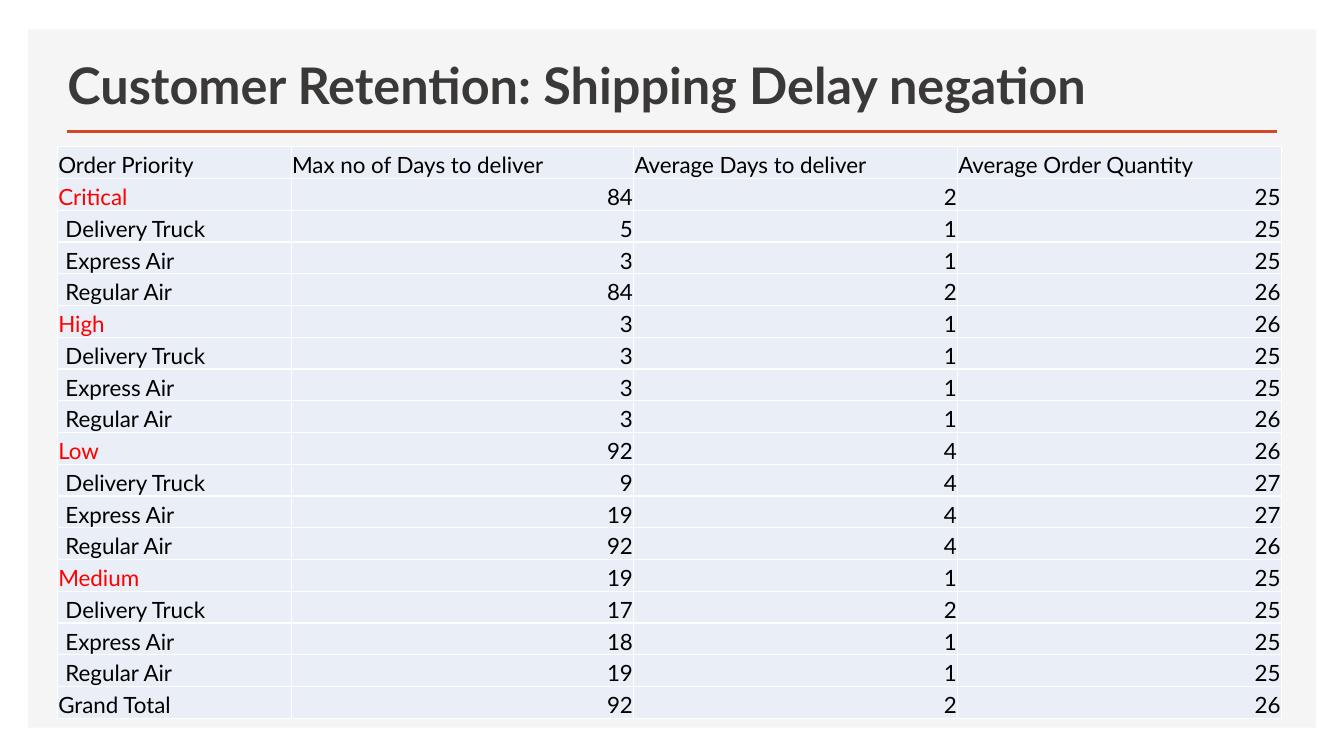
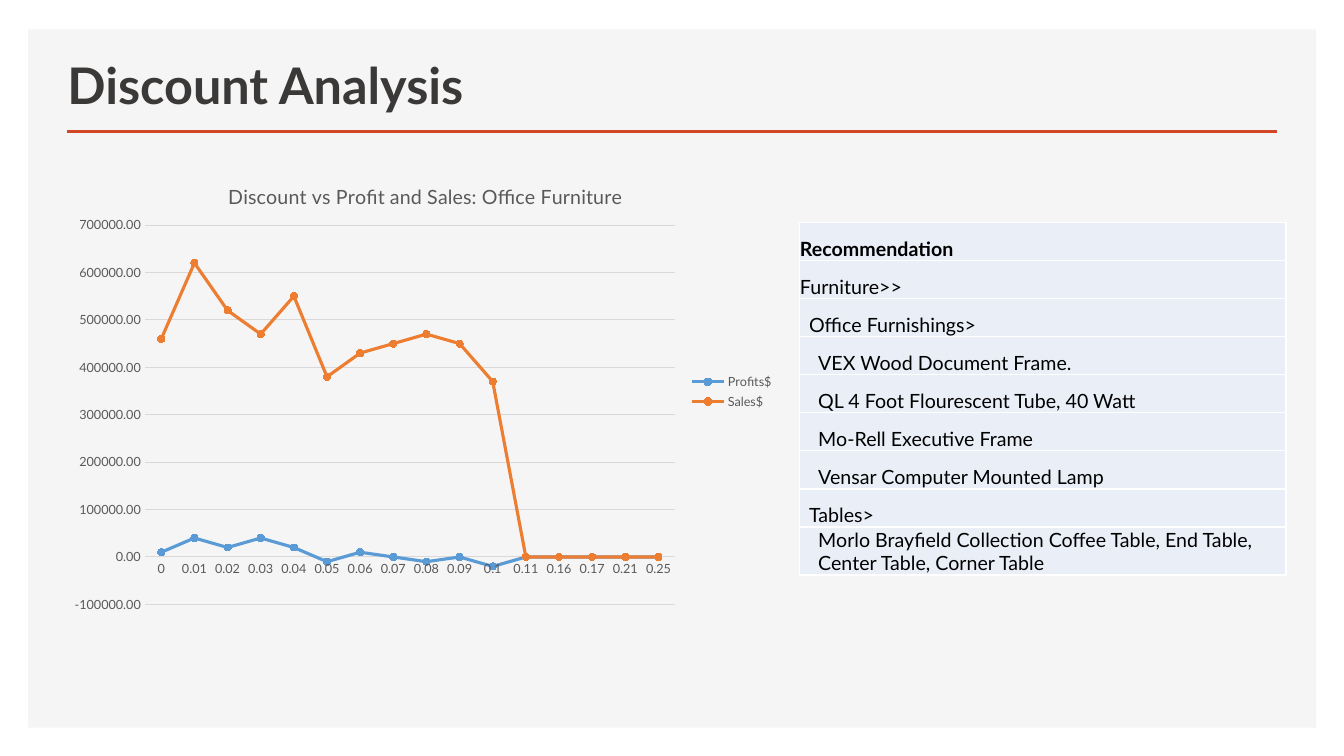
from pptx import Presentation
from pptx.chart.data import CategoryChartData
from pptx.dml.color import RGBColor
from pptx.enum.chart import (XL_CHART_TYPE, XL_LEGEND_POSITION,
                             XL_MARKER_STYLE, XL_TICK_MARK)
from pptx.enum.shapes import MSO_CONNECTOR, MSO_SHAPE
from pptx.enum.text import MSO_ANCHOR, PP_ALIGN
from pptx.oxml import parse_xml
from pptx.oxml.ns import nsdecls, qn
from pptx.util import Cm, Pt

LINE_MARKERS = XL_CHART_TYPE.LINE_MARKERS
LEGEND_RIGHT = XL_LEGEND_POSITION.RIGHT
CIRCLE = XL_MARKER_STYLE.CIRCLE
NO_TICK = XL_TICK_MARK.NONE
STRAIGHT = MSO_CONNECTOR.STRAIGHT
RECTANGLE = MSO_SHAPE.RECTANGLE
BOTTOM = MSO_ANCHOR.BOTTOM
LEFT, RIGHT = PP_ALIGN.LEFT, PP_ALIGN.RIGHT

FONT = "Lato"
COLORS = {
    "panel": "F5F5F5", "rule": "D24726", "title": "3B3838",
    "cell": "EAEFF7", "border": "FFFFFF", "text": "000000",
    "priority": "FF0000", "chart_text": "595959", "grid": "D9D9D9",
    "profit": "5B9BD5", "sales": "ED7D31",
}

# Content: shipping delays
SHIPPING_TITLE = "Customer Retention: Shipping Delay negation"
SHIPPING_HEADER = ("Order Priority", "Max no of Days to deliver",
                   "Average Days to deliver", "Average Order Quantity")
SHIP_MODES = ("Delivery Truck", "Express Air", "Regular Air")
# Priority: its own figures, then those of each ship mode
PRIORITIES = {
    "Critical": [(84, 2, 25), (5, 1, 25), (3, 1, 25), (84, 2, 26)],
    "High": [(3, 1, 26), (3, 1, 25), (3, 1, 25), (3, 1, 26)],
    "Low": [(92, 4, 26), (9, 4, 27), (19, 4, 27), (92, 4, 26)],
    "Medium": [(19, 1, 25), (17, 2, 25), (18, 1, 25), (19, 1, 25)],
}
GRAND_TOTAL = ("Grand Total", 92, 2, 26)

# Content: discounts
DISCOUNT_TITLE = "Discount Analysis"
CHART_TITLE = "Discount vs Profit and Sales: Office Furniture"
DISCOUNTS = ("0", "0.01", "0.02", "0.03", "0.04", "0.05", "0.06", "0.07",
             "0.08", "0.09", "0.1", "0.11", "0.16", "0.17", "0.21", "0.25")
SERIES = [
    ("Profits$", "profit", (10000, 40000, 20000, 40000, 20000, -10000, 10000,
                            0, -10000, 0, -20000, 0, 0, 0, 0, 0)),
    ("Sales$", "sales", (460000, 620000, 520000, 470000, 550000, 380000,
                         430000, 450000, 470000, 450000, 370000,
                         0, 0, 0, 0, 0)),
]
# Text and indent level
RECOMMENDATIONS = [
    ("Recommendation", 0),
    ("Furniture>>", 0),
    ("Office Furnishings>", 1),
    ("VEX Wood Document Frame.", 2),
    ("QL 4 Foot Flourescent Tube, 40 Watt", 2),
    ("Mo-Rell Executive Frame", 2),
    ("Vensar Computer Mounted Lamp", 2),
    ("Tables>", 1),
    ("Morlo Brayfield Collection Coffee Table, End Table, "
     "Center Table, Corner Table", 2),
]


def rgb(name):
    return RGBColor.from_string(COLORS[name])


def style_font(font, size, color, bold=False):
    font.name, font.size, font.bold = FONT, Pt(size), bold
    font.color.rgb = rgb(color)


def add_run(p, text, size, color, bold=False):
    r = p.add_run()
    r.text = text
    style_font(r.font, size, color, bold)


def add_slide(prs, title):
    """Blank slide with the shared panel, rule and title."""
    s = prs.slides.add_slide(prs.slide_layouts[6])
    panel = s.shapes.add_shape(RECTANGLE, Cm(0.71), Cm(0.74), Cm(32.46), Cm(17.6))
    panel.shadow.inherit = False
    panel.fill.solid()
    panel.fill.fore_color.rgb = rgb("panel")
    panel.line.fill.background()

    rule = s.shapes.add_connector(STRAIGHT, Cm(1.68), Cm(3.32), Cm(32.18), Cm(3.32))
    rule.line.color.rgb = rgb("rule")
    rule.line.width = Pt(2)
    rule._element.spPr.append(parse_xml(f"<a:effectLst {nsdecls('a')}/>"))

    tf = s.shapes.add_textbox(Cm(1.45), Cm(0.25), Cm(28.2), Cm(2.77)).text_frame
    tf.word_wrap = True
    tf.vertical_anchor = BOTTOM
    add_run(tf.paragraphs[0], title, 36, "title", bold=True)
    return s


def fill_cell(cell, text, size, color="text", bold=False, indent=0.02, align=LEFT):
    cell.margin_left = Cm(indent)
    cell.margin_right = cell.margin_top = Cm(0.02)
    cell.margin_bottom = 0
    cell.vertical_anchor = BOTTOM
    cell.fill.solid()
    cell.fill.fore_color.rgb = rgb("cell")
    tc_pr = cell._tc.get_or_add_tcPr()
    for i, side in enumerate("LRTB"):  # borders go before the fill
        tc_pr.insert(i, parse_xml(
            f'<a:ln{side} {nsdecls("a")} w="12700"><a:solidFill>'
            f'<a:srgbClr val="{COLORS["border"]}"/></a:solidFill></a:ln{side}>'))
    p = cell.text_frame.paragraphs[0]
    p.alignment = align
    add_run(p, text, size, color, bold)


def add_table(s, left, top, widths, row_height, rows):
    """Each row is a list of keyword dicts for fill_cell."""
    table = s.shapes.add_table(len(rows), len(widths), Cm(left), Cm(top),
                               Cm(sum(widths)), Cm(row_height * len(rows))).table
    table.first_row = table.horz_banding = False
    for column, width in zip(table.columns, widths):
        column.width = Cm(width)
    for i, row in enumerate(rows):
        table.rows[i].height = Cm(row_height)
        for j, options in enumerate(row):
            fill_cell(table.cell(i, j), **options)


def set_layout(parent, index, **fractions):
    """Place a chart part by fractions of the chart area."""
    for old in parent.findall(qn("c:layout")):
        parent.remove(old)
    target = '<c:layoutTarget val="inner"/>' if "w" in fractions else ""
    modes = '<c:xMode val="edge"/><c:yMode val="edge"/>'
    values = "".join(f'<c:{k} val="{v}"/>' for k, v in fractions.items())
    parent.insert(index, parse_xml(
        f'<c:layout {nsdecls("c")}><c:manualLayout>{target}{modes}{values}'
        '</c:manualLayout></c:layout>'))


def add_discount_chart(s):
    data = CategoryChartData(number_format="0.00")
    data.categories = DISCOUNTS
    for name, _, values in SERIES:
        data.add_series(name, values)
    chart = s.shapes.add_chart(LINE_MARKERS, Cm(1.45), Cm(4.04), Cm(18.31),
                               Cm(11.66), data).chart
    style_font(chart.font, 10, "text")

    # Title and legend
    chart.has_title = True
    title = chart.chart_title
    add_run(title.text_frame.paragraphs[0], CHART_TITLE, 14, "chart_text")
    title.include_in_layout = False
    set_layout(title._element, 1, x=0.23, y=0.04)
    chart.has_legend = True
    chart.legend.position = LEGEND_RIGHT
    chart.legend.include_in_layout = False
    style_font(chart.legend.font, 9, "chart_text")

    # Axes
    cat_axis, val_axis = chart.category_axis, chart.value_axis
    for axis in (cat_axis, val_axis):
        axis.major_tick_mark = axis.minor_tick_mark = NO_TICK
        style_font(axis.tick_labels.font, 9, "chart_text")
    val_axis.minimum_scale, val_axis.maximum_scale = -100000, 700000
    val_axis.major_unit = 100000
    val_axis.tick_labels.number_format = "0.00"
    val_axis.tick_labels.number_format_is_linked = False
    val_axis.format.line.fill.background()
    val_axis.has_major_gridlines = True
    for line in (cat_axis.format.line, val_axis.major_gridlines.format.line):
        line.color.rgb = rgb("grid")
        line.width = Pt(0.75)

    # Series
    plot = chart.plots[0]
    plot.vary_by_categories = False
    for series, (_, color, _) in zip(plot.series, SERIES):
        series.smooth = False
        series.format.line.color.rgb = rgb(color)
        series.format.line.width = Pt(2.25)
        marker = series.marker
        marker.style, marker.size = CIRCLE, 5
        marker.format.fill.solid()
        marker.format.fill.fore_color.rgb = rgb(color)
        marker.format.line.color.rgb = rgb(color)
    plot_area = chart._chartSpace.find(f".//{qn('c:plotArea')}")
    set_layout(plot_area, 0, x=0.12, y=0.14, w=0.73, h=0.82)


def shipping_row(label, *figures, **label_style):
    return [dict(text=label, size=16, **label_style)] + [
        dict(text=str(n), size=16, align=RIGHT) for n in figures]


def shipping_slide(prs):
    s = add_slide(prs, SHIPPING_TITLE)
    rows = [[dict(text=t, size=16) for t in SHIPPING_HEADER]]
    for priority, (own, *by_mode) in PRIORITIES.items():
        rows.append(shipping_row(priority, *own, color="priority"))
        for mode, figures in zip(SHIP_MODES, by_mode):
            rows.append(shipping_row(mode, *figures, indent=0.2))
    rows.append(shipping_row(*GRAND_TOTAL))
    add_table(s, 1.45, 3.7, (5.89, 8.63, 8.16, 8.16), 0.8, rows)


def discount_slide(prs):
    s = add_slide(prs, DISCOUNT_TITLE)
    add_discount_chart(s)
    rows = [[dict(text=text, size=14, bold=i == 0, indent=0.02 + 0.23 * level)]
            for i, (text, level) in enumerate(RECOMMENDATIONS)]
    add_table(s, 20.14, 5.6, (12.27,), 0.96, rows)


def main():
    prs = Presentation()
    prs.slide_width, prs.slide_height = Cm(33.87), Cm(19.05)
    shipping_slide(prs)
    discount_slide(prs)
    prs.save("out.pptx")


if __name__ == "__main__":
    main()
